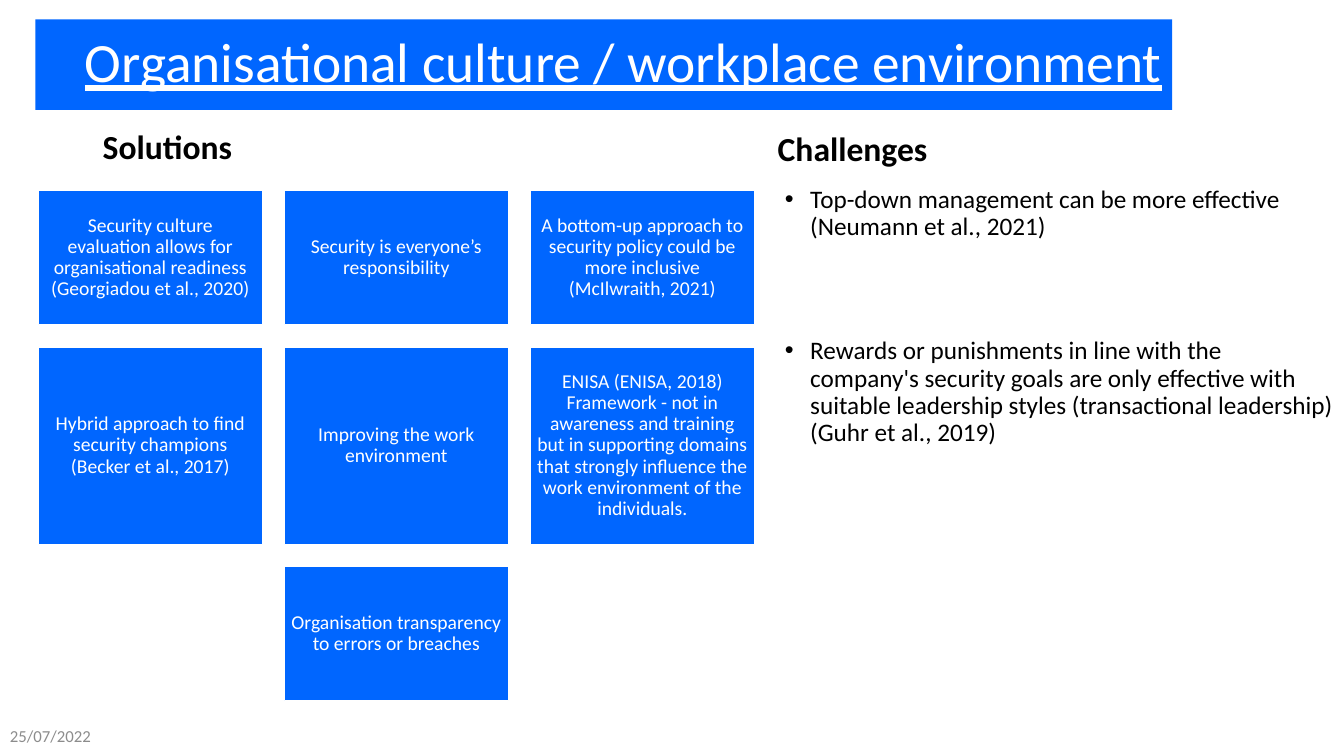
from lxml.etree import SubElement
from pptx import Presentation
from pptx.dml.color import RGBColor
from pptx.enum.shapes import MSO_SHAPE
from pptx.enum.text import MSO_ANCHOR, PP_ALIGN
from pptx.oxml.ns import qn
from pptx.util import Cm, Pt

BLUE, WHITE, BLACK, GREY = "0066FF", "FFFFFF", "000000", "8C8C8C"


def color(hex_string):
    return RGBColor.from_string(hex_string)


def add_text(text, left, top, width, height, size, ink=BLACK, fill=None, outline=None,
             bold=False, underline=False, align=PP_ALIGN.LEFT, anchor=MSO_ANCHOR.MIDDLE,
             inset=None, spacing=0.9, bullet=False, gap=0):
    area = Cm(left), Cm(top), Cm(width), Cm(height)
    if fill:
        box = slide.shapes.add_shape(MSO_SHAPE.RECTANGLE, *area)
        box.shadow.inherit = False
        box.fill.solid()
        box.fill.fore_color.rgb = color(fill)
        if outline:
            box.line.color.rgb = color(outline)
            box.line.width = Pt(1)
        else:
            box.line.fill.background()
    else:
        box = slide.shapes.add_textbox(*area)
    frame = box.text_frame
    frame.word_wrap = True
    frame.vertical_anchor = anchor
    if inset is not None:
        frame.margin_left = frame.margin_right = Cm(inset)
        frame.margin_top = frame.margin_bottom = Cm(inset)
    frame.text = text
    for index, paragraph in enumerate(frame.paragraphs):
        if bullet:
            properties = paragraph._p.get_or_add_pPr()
            properties.set("marL", str(Cm(0.64)))
            properties.set("indent", str(-Cm(0.64)))
            SubElement(properties, qn("a:buFont")).set("typeface", "Arial")
            SubElement(properties, qn("a:buChar")).set("char", "•")
        paragraph.alignment = align
        paragraph.line_spacing = spacing
        if index:
            paragraph.space_before = Pt(gap)
        font = paragraph.font
        font.name = "Calibri"
        font.size = Pt(size)
        font.bold = bold
        font.underline = underline
        font.color.rgb = color(ink)


presentation = Presentation()
presentation.slide_width = Cm(33.87)
presentation.slide_height = Cm(19.05)
slide = presentation.slides.add_slide(presentation.slide_layouts[6])

add_text("Organisational culture / workplace environment", 0.89, 0.49, 28.65, 2.28, 39.6,
         ink=WHITE, fill=BLUE, underline=True, align=PP_ALIGN.RIGHT)

for heading, left, top in [("Solutions", 2.34, 2.92), ("Challenges", 19.35, 2.97)]:
    add_text(heading, left, top, 14.35, 1.4, 24, bold=True, anchor=MSO_ANCHOR.BOTTOM)

solution_rows = [
    (3.38, ["Security culture evaluation allows for organisational readiness "
            "(Georgiadou et al., 2020)",
            "Security is everyone’s responsibility",
            "A bottom-up approach to security policy could be more inclusive (McIlwraith, 2021)"]),
    (4.98, ["Hybrid approach to find security champions (Becker et al., 2017)",
            "Improving the work environment",
            "ENISA (ENISA, 2018) Framework - not in awareness and training but in supporting "
            "domains that strongly influence the work environment of the individuals."]),
    (3.38, ["Organisation transparency to errors or breaches"]),
]
card_width, card_gap, columns = 5.64, 0.56, 3
pitch = card_width + card_gap
row_top = 4.8
for row_height, solutions in solution_rows:
    row_left = 0.97 + (columns - len(solutions)) * pitch / 2
    for column, solution in enumerate(solutions):
        add_text(solution, row_left + column * pitch, row_top, card_width, row_height, 14,
                 ink=WHITE, fill=BLUE, outline=WHITE, align=PP_ALIGN.CENTER, inset=0.15)
    row_top += row_height + card_gap

challenges = [
    "Top-down management can be more effective (Neumann et al., 2021)",
    "Rewards or punishments in line with the company's security goals are only effective with "
    "suitable leadership styles (transactional leadership) (Guhr et al., 2019)",
]
add_text("\n".join(challenges), 19.53, 4.57, 14.34, 12.83, 18,
         anchor=MSO_ANCHOR.TOP, bullet=True, gap=69.5)

add_text("25/07/2022", 0, 18.03, 7.62, 1.02, 12, ink=GREY, spacing=1.0)

presentation.save("out.pptx")
